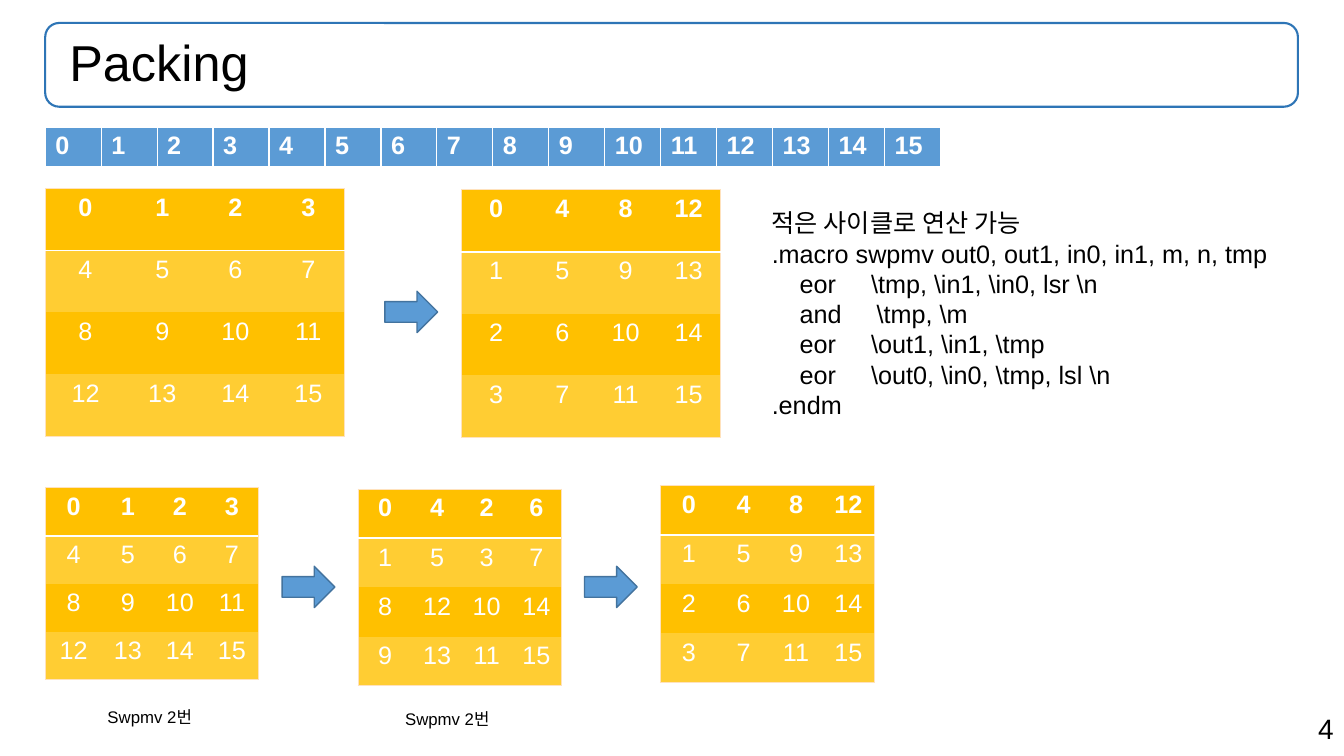
from lxml import etree
from pptx import Presentation
from pptx.dml.color import RGBColor
from pptx.enum.shapes import MSO_SHAPE
from pptx.enum.text import MSO_ANCHOR, PP_ALIGN
from pptx.oxml.ns import qn
from pptx.util import Cm, Pt

LEFT, CENTER, RIGHT = PP_ALIGN.LEFT, PP_ALIGN.CENTER, PP_ALIGN.RIGHT
TOP, MIDDLE = MSO_ANCHOR.TOP, MSO_ANCHOR.MIDDLE
ROUNDED, ARROW = MSO_SHAPE.ROUNDED_RECTANGLE, MSO_SHAPE.RIGHT_ARROW

BLACK = RGBColor(0x00, 0x00, 0x00)
WHITE = RGBColor(0xFF, 0xFF, 0xFF)
BLUE = RGBColor(0x5B, 0x9B, 0xD5)
ARROW_EDGE = RGBColor(0x43, 0x73, 0x9E)
TITLE_EDGE = RGBColor(0x2E, 0x75, 0xB6)
GOLD = RGBColor(0xFF, 0xC0, 0x00)
LIGHT_GOLD = RGBColor(0xFF, 0xCD, 0x33)
CREAM = RGBColor(0xFF, 0xE2, 0xBD)
FONT = "Arial"
PLAIN_TABLE_STYLE = "{2D5ABB26-0587-4C30-8999-92F81FD0307C}"

# Content (lengths in cm)
TITLE = "Packing"
TITLE_BOX = (1.14, 0.58, 31.57, 2.11)
PAGE_NUMBER = "4"
MACRO = [
    "적은 사이클로 연산 가능",
    ".macro swpmv out0, out1, in0, in1, m, n, tmp",
    "    eor     \\tmp, \\in1, \\in0, lsr \\n",
    "    and     \\tmp, \\m",
    "    eor     \\out1, \\in1, \\tmp",
    "    eor     \\out0, \\in0, \\tmp, lsl \\n",
    ".endm",
]
ROW_ORDER = [[0, 1, 2, 3], [4, 5, 6, 7], [8, 9, 10, 11], [12, 13, 14, 15]]
HALF_SWAPPED = [[0, 4, 2, 6], [1, 5, 3, 7], [8, 12, 10, 14], [9, 13, 11, 15]]
COLUMN_ORDER = list(zip(*ROW_ORDER))
# values, left, top, first column, other columns, row height
MATRICES = [
    (ROW_ORDER, 1.14, 4.75, 2.03, 1.84, 1.56),
    (COLUMN_ORDER, 11.63, 4.78, 1.75, 1.59, 1.56),
    (ROW_ORDER, 1.14, 12.29, 1.43, 1.31, 1.21),
    (HALF_SWAPPED, 9.02, 12.32, 1.37, 1.25, 1.24),
    (COLUMN_ORDER, 16.64, 12.24, 1.44, 1.32, 1.24),
]
ARROWS = [(9.7, 7.34), (7.11, 14.27), (14.73, 14.27)]
CAPTION = "Swpmv 2번"
CAPTIONS = [(2.46, 17.75), (9.96, 17.78)]


def write(frame, text, size=18, color=BLACK, bold=False, align=LEFT, spacing=1.0):
    lines = [text] if isinstance(text, str) else text
    for index, line in enumerate(lines):
        paragraph = frame.paragraphs[0] if index == 0 else frame.add_paragraph()
        paragraph.alignment = align
        paragraph.line_spacing = spacing
        run = paragraph.add_run()
        run.text = line
        run.font.name = FONT
        run.font.size = Pt(size)
        run.font.bold = bold
        run.font.color.rgb = color


def add_text(box, text, anchor=TOP, inset=0.25, **style):
    frame = slide.shapes.add_textbox(*map(Cm, box)).text_frame
    frame.word_wrap = True
    frame.vertical_anchor = anchor
    frame.margin_left = Cm(inset)
    write(frame, text, **style)


def add_shape(kind, box, edge, width, fill=None):
    shape = slide.shapes.add_shape(kind, *map(Cm, box))
    shape.shadow.inherit = False
    if fill is None:
        shape.fill.background()
    else:
        shape.fill.solid()
        shape.fill.fore_color.rgb = fill
    shape.line.color.rgb = edge
    shape.line.width = Pt(width)


def add_border(cell, side, color, width):
    properties = cell._tc.get_or_add_tcPr()
    line = etree.SubElement(properties, qn("a:ln" + side), w=str(Pt(width)))
    solid = etree.SubElement(line, qn("a:solidFill"))
    etree.SubElement(solid, qn("a:srgbClr"), val=str(color))


def add_grid(values, left, top, widths, height, borders_at, fill_at, bold_at, align):
    rows, columns = len(values), len(widths)
    table = slide.shapes.add_table(rows, columns, Cm(left), Cm(top),
                                   Cm(sum(widths)), Cm(height * rows)).table
    table.first_row = table.horz_banding = False
    table._tbl.tblPr.find(qn("a:tableStyleId")).text = PLAIN_TABLE_STYLE
    for column, width in zip(table.columns, widths):
        column.width = Cm(width)
    for r, row in enumerate(values):
        table.rows[r].height = Cm(height)
        for c, value in enumerate(row):
            cell = table.cell(r, c)
            for side, color, width in borders_at(r, c):
                add_border(cell, side, color, width)
            cell.fill.solid()
            cell.fill.fore_color.rgb = fill_at(r)
            write(cell.text_frame, str(value), color=WHITE, bold=bold_at(r), align=align)


def matrix_borders(r, c):
    borders = []
    if c == 0:
        borders.append(("L", CREAM, 0.5))
    if c == 3:
        borders.append(("R", CREAM, 0.5))
    if r == 0:
        borders += [("T", CREAM, 0.5), ("B", WHITE, 1.5)]
    if r == 3:
        borders.append(("B", CREAM, 0.5))
    return borders


def strip_borders(r, c):
    return [("L", WHITE, 1), ("R", WHITE, 1), ("T", WHITE, 1), ("B", WHITE, 3)]


presentation = Presentation()
presentation.slide_width, presentation.slide_height = Cm(33.87), Cm(19.05)
slide = presentation.slides.add_slide(presentation.slide_layouts[6])

# Title and page number
add_text((23.95, 17.81, 9.91, 1.12), PAGE_NUMBER, size=20, align=RIGHT)
add_shape(ROUNDED, TITLE_BOX, TITLE_EDGE, 1.5)
add_text(TITLE_BOX, TITLE, anchor=MIDDLE, inset=0.61, size=36, spacing=0.9)

# Strip of sixteen elements
add_grid([range(16)], 1.14, 3.2, [1.41] * 16, 1.03, strip_borders,
         lambda r: BLUE, lambda r: True, LEFT)

# Matrices
for values, left, top, first, other, height in MATRICES:
    add_grid(values, left, top, [first] + [other] * 3, height, matrix_borders,
             lambda r: LIGHT_GOLD if r % 2 else GOLD, lambda r: r == 0, CENTER)

# Arrows between matrices
for left, top in ARROWS:
    add_shape(ARROW, (left, top, 1.33, 1.04), ARROW_EDGE, 1, fill=BLUE)

# Macro and captions
add_text((19.2, 5.11, 13.51, 5.64), MACRO)
for left, top in CAPTIONS:
    add_text((left, top, 3.33, 0.71), CAPTION, size=12, spacing=0.9)

presentation.save("out.pptx")
